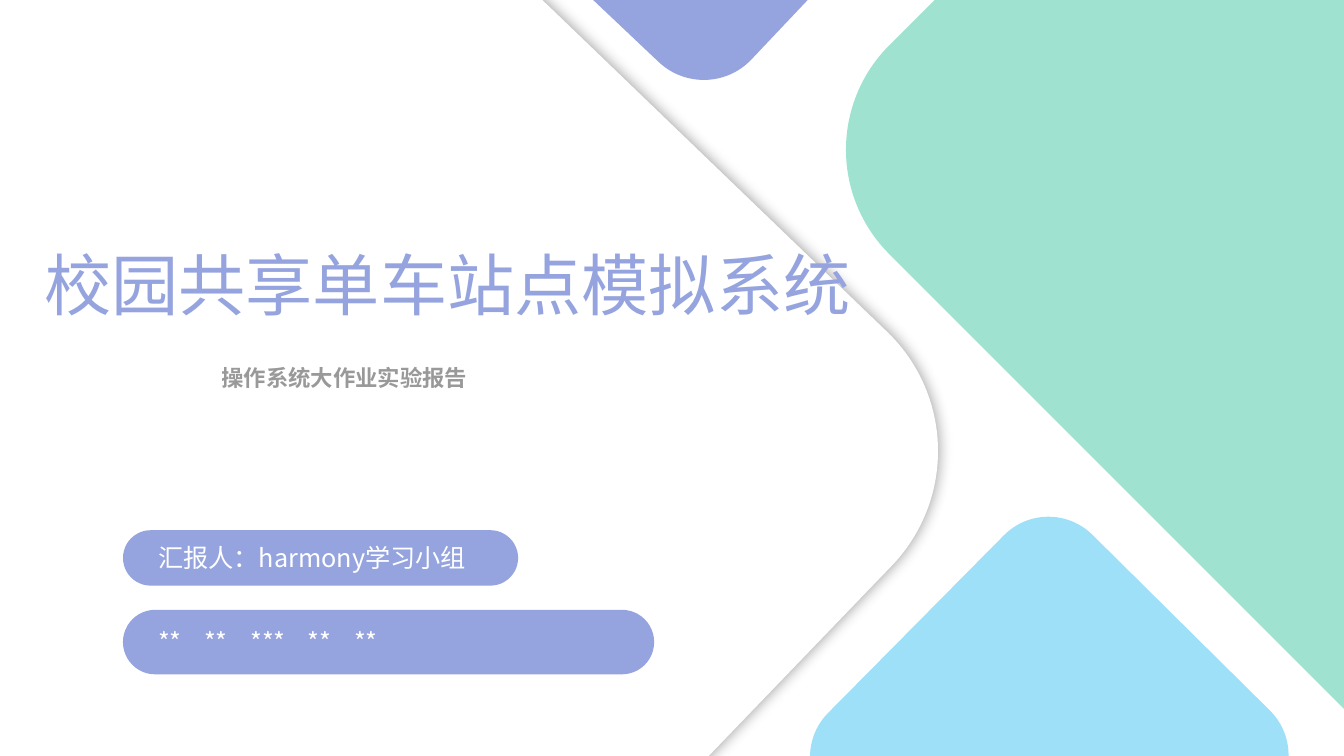
from lxml import etree
from pptx import Presentation
from pptx.dml.color import RGBColor
from pptx.enum.shapes import MSO_SHAPE
from pptx.enum.text import MSO_ANCHOR, PP_ALIGN
from pptx.oxml.ns import qn
from pptx.util import Pt

ROUNDED = MSO_SHAPE.ROUNDED_RECTANGLE
RECTANGLE = MSO_SHAPE.RECTANGLE
MIDDLE = MSO_ANCHOR.MIDDLE
JUSTIFY = PP_ALIGN.JUSTIFY

WHITE = RGBColor(0xFF, 0xFF, 0xFF)
BLACK = RGBColor(0x00, 0x00, 0x00)
GRAY = RGBColor(0x80, 0x80, 0x80)
PURPLE = RGBColor(0x95, 0xA4, 0xDE)
GREEN = RGBColor(0x9E, 0xE2, 0xCF)
BLUE = RGBColor(0x9E, 0xE0, 0xF8)

FONT = "Noto Sans CJK JP"
NAME_TABS = (33, 66, 107, 140)


def add_alpha(color_element, percent):
    etree.SubElement(color_element, qn("a:alpha"), val=str(percent * 1000))


def add_block(shapes, kind, box, color, rotation=0, corner=None):
    shape = shapes.add_shape(kind, *map(Pt, box))
    shape.shadow.inherit = False
    shape.fill.solid()
    shape.fill.fore_color.rgb = color
    shape.line.fill.background()
    shape.rotation = rotation
    if corner is not None:
        shape.adjustments[0] = corner
    return shape


def add_soft_shadow(shape, color, opacity, blur):
    effects = shape._element.spPr.find(qn("a:effectLst"))
    shadow = etree.SubElement(
        effects, qn("a:outerShdw"), blurRad=str(Pt(blur)), dist="0", dir="0",
        algn="ctr", rotWithShape="0")
    shadow_color = etree.SubElement(shadow, qn("a:srgbClr"), val=str(color))
    add_alpha(shadow_color, opacity)


def write_text(shape, text, size, color, bold=False, opacity=None):
    frame = shape.text_frame
    frame.word_wrap = True
    paragraph = frame.paragraphs[0]
    paragraph.alignment = JUSTIFY
    run = paragraph.add_run()
    run.text = text
    formats = {"size": Pt(size), "name": FONT, "bold": bold}
    for attribute, value in formats.items():
        setattr(run.font, attribute, value)
    run.font.color.rgb = color
    properties = run.font._element
    if opacity is not None:
        add_alpha(properties.find(".//" + qn("a:srgbClr")), opacity)
    latin = properties.find(qn("a:latin"))
    east_asian = etree.Element(qn("a:ea"), typeface=FONT)
    latin.addnext(east_asian)
    return paragraph


def add_label(slide, box, text, size, color, **formats):
    shape = slide.shapes.add_textbox(*map(Pt, box))
    write_text(shape, text, size, color, **formats)


def add_pill(slide, pill_box, text_box, text, tabs=()):
    group = slide.shapes.add_group_shape()
    add_block(group.shapes, ROUNDED, pill_box, PURPLE, corner=0.5)
    plate = add_block(group.shapes, RECTANGLE, text_box, PURPLE)
    plate.text_frame.vertical_anchor = MIDDLE
    paragraph = write_text(plate, text, 18, WHITE)
    if tabs:
        tab_list = etree.SubElement(
            paragraph._p.get_or_add_pPr(), qn("a:tabLst"))
        for position in tabs:
            etree.SubElement(
                tab_list, qn("a:tab"), pos=str(Pt(position)), algn="l")


def main():
    presentation = Presentation()
    presentation.slide_width = Pt(960)
    presentation.slide_height = Pt(540)
    slide = presentation.slides.add_slide(presentation.slide_layouts[6])

    card = add_block(slide.shapes, ROUNDED, (-306.72, -94.32, 848.88, 851.76),
                     WHITE, 43.9, 0.139)
    add_soft_shadow(card, BLACK, 40, 10)
    add_block(slide.shapes, ROUNDED, (393.84, -180.72, 213.12, 213.12),
              PURPLE, 313.4, 0.22)
    add_block(slide.shapes, ROUNDED, (706.32, -215.28, 632.16, 673.92),
              GREEN, 135)
    add_block(slide.shapes, ROUNDED, (615.6, 406.08, 267.84, 267.84),
              BLUE, 44.7)

    add_label(slide, (24.48, 169.92, 604.08, 65.52),
              "校园共享单车站点模拟系统", 48, PURPLE)
    add_label(slide, (151.2, 256.32, 282.24, 26.64),
              "操作系统大作业实验报告", 16, GRAY, bold=True, opacity=80)

    add_pill(slide, (87.84, 378.72, 282.24, 39.6),
             (105.84, 383.76, 245.52, 28.8), "汇报人：harmony学习小组")
    add_pill(slide, (87.84, 435.6, 379.44, 46.08),
             (105.84, 443.52, 336.24, 28.8), "**\t**\t***\t**\t**", NAME_TABS)

    presentation.save("out.pptx")


if __name__ == "__main__":
    main()
